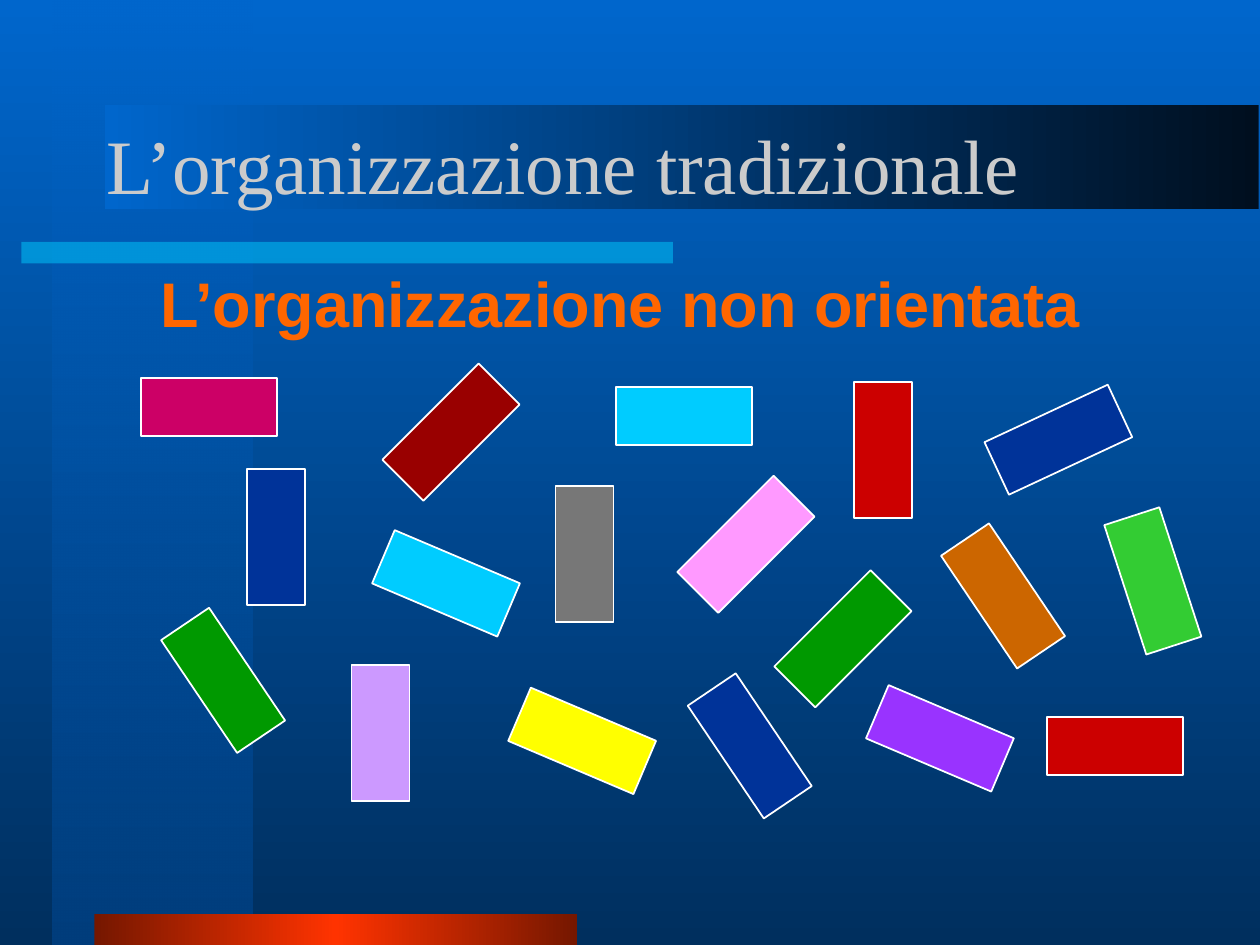
from dataclasses import dataclass

from lxml import etree
from pptx import Presentation
from pptx.dml.color import RGBColor as Color
from pptx.enum.shapes import MSO_SHAPE as Shape
from pptx.enum.text import MSO_ANCHOR as Anchor, PP_ALIGN as Align
from pptx.oxml.ns import qn
from pptx.util import Inches, Pt


@dataclass(frozen=True)
class Theme:
    sky: str = "0066CC"
    deep: str = "002F5E"
    column: str = "003E7D"
    night: str = "000F1F"
    cyan: str = "00CCFF"
    ember: str = "751700"
    flame: str = "FF3300"
    title: str = "CBCBCB"
    subtitle: str = "FF6600"
    outline: str = "FFFFFF"
    navy: str = "003399"
    green: str = "009900"
    red: str = "CC0000"
    title_font: str = "Times New Roman"
    subtitle_font: str = "Arial"
    title_size: int = 44
    subtitle_size: int = 36


THEME = Theme()
LONG, SHORT = 1.08, 0.46

# Left, top, rotation, colour
LYING_BLOCKS = [
    (6.92, 5.63, 23, "9933FF"),
    (1.12, 3.00, 0, "CC0066"),
    (1.23, 5.17, 56, THEME.green),
    (4.89, 3.07, 0, THEME.cyan),
    (3.04, 3.20, 315, "990000"),
    (5.38, 4.09, 315, "FF99FF"),
    (6.15, 4.84, 315, THEME.green),
    (5.41, 5.69, 56, THEME.navy),
    (4.08, 5.65, 23, "FFFF00"),
    (3.00, 4.40, 23, THEME.cyan),
    (7.42, 4.50, 56, "CC6600"),
    (7.86, 3.26, 335, THEME.navy),
    (8.31, 5.69, 0, THEME.red),
    (8.61, 4.38, 252, "33CC33"),
]
# Left, top, colour
UPRIGHT_BLOCKS = [
    (1.96, 3.72, THEME.navy),
    (2.79, 5.28, "CC99FF"),
    (4.41, 3.86, "777777"),
    (6.78, 3.03, THEME.red),
]


class SlideBuilder:
    def __init__(self, slide, theme):
        self.slide = slide
        self.theme = theme

    def set_alpha(self, color_element, percent):
        etree.SubElement(color_element, qn("a:alpha"), val=str(percent * 1000))

    def apply_gradient(self, fill, owner, stops, angle):
        """Stops are (position, colour) or (position, colour, opacity)."""
        fill.solid()
        solid = next(owner.iter(qn("a:solidFill")))
        gradient = etree.Element(qn("a:gradFill"), rotWithShape="1")
        stop_list = etree.SubElement(gradient, qn("a:gsLst"))
        for position, color, *opacity in stops:
            stop = etree.SubElement(stop_list, qn("a:gs"), pos=str(position * 1000))
            color_element = etree.SubElement(stop, qn("a:srgbClr"), val=color)
            for percent in opacity:
                self.set_alpha(color_element, percent)
        etree.SubElement(gradient, qn("a:lin"), ang=str(angle * 60000), scaled="0")
        solid.getparent().replace(solid, gradient)

    def background(self, stops, angle):
        self.apply_gradient(self.slide.background.fill, self.slide.element, stops, angle)

    def rectangle(self, left, top, width, height):
        shape = self.slide.shapes.add_shape(
            Shape.RECTANGLE, Inches(left), Inches(top), Inches(width), Inches(height))
        shape.shadow.inherit = False
        shape.line.fill.background()
        return shape

    def gradient_bar(self, box, stops, angle):
        shape = self.rectangle(*box)
        self.apply_gradient(shape.fill, shape.element, stops, angle)

    def solid_bar(self, box, color, opacity):
        shape = self.rectangle(*box)
        shape.fill.solid()
        shape.fill.fore_color.rgb = Color.from_string(color)
        self.set_alpha(next(shape.element.iter(qn("a:srgbClr"))), opacity)

    def block(self, left, top, width, height, color, rotation=0):
        shape = self.rectangle(left, top, width, height)
        shape.rotation = rotation
        shape.fill.solid()
        shape.fill.fore_color.rgb = Color.from_string(color)
        shape.line.color.rgb = Color.from_string(self.theme.outline)
        shape.line.width = Pt(1)

    def text(self, box, wording, color, font, frame_format, paragraph_format):
        frame = self.slide.shapes.add_textbox(*map(Inches, box)).text_frame
        paragraph = frame.paragraphs[0]
        run = paragraph.add_run()
        run.text = wording
        run.font.color.rgb = Color.from_string(color)
        for target, values in ((frame, {"word_wrap": True, **frame_format}),
                               (paragraph, paragraph_format), (run.font, font)):
            for name, value in values.items():
                setattr(target, name, value)


def main():
    presentation = Presentation()
    presentation.slide_width = Inches(10)
    presentation.slide_height = Inches(7.5)
    slide = presentation.slides.add_slide(presentation.slide_layouts[6])
    builder = SlideBuilder(slide, THEME)

    # Backdrop
    builder.background([(0, THEME.sky), (100, THEME.deep)], 90)
    builder.gradient_bar((0.42, 0, 1.58, 7.5), [(0, THEME.sky, 50), (100, THEME.column)], 90)
    builder.solid_bar((0.17, 1.92, 5.17, 0.17), THEME.cyan, 50)
    builder.gradient_bar((0.75, 7.25, 3.83, 0.25),
                         [(0, THEME.ember), (50, THEME.flame), (100, THEME.ember)], 180)
    builder.gradient_bar((0.83, 0.83, 9.16, 0.83), [(0, THEME.night), (100, THEME.sky)], 180)

    # Headings
    builder.text((0.75, 0.67, 8.5, 1.25), "L’organizzazione tradizionale", THEME.title,
                 {"name": THEME.title_font, "size": Pt(THEME.title_size)},
                 {"vertical_anchor": Anchor.MIDDLE}, {"alignment": Align.LEFT})
    builder.text((0.32, 2.05, 9.21, 1.03), "L’organizzazione non orientata", THEME.subtitle,
                 {"name": THEME.subtitle_font, "size": Pt(THEME.subtitle_size), "bold": True},
                 {"vertical_anchor": Anchor.TOP},
                 {"alignment": Align.CENTER, "space_before": Pt(9)})

    # Scattered blocks
    for left, top, rotation, color in LYING_BLOCKS:
        builder.block(left, top, LONG, SHORT, color, rotation)
    for left, top, color in UPRIGHT_BLOCKS:
        builder.block(left, top, SHORT, LONG, color)

    presentation.save("out.pptx")


if __name__ == "__main__":
    main()
